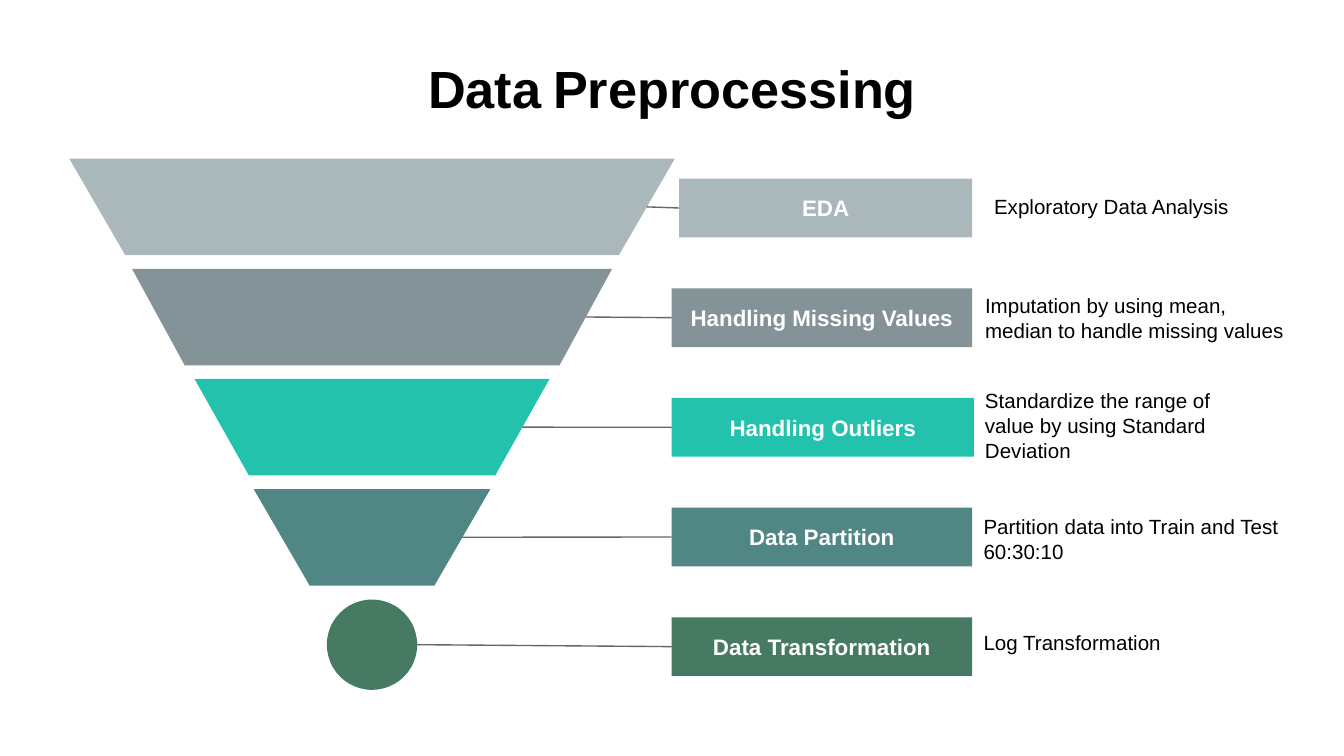
from pptx import Presentation
from pptx.dml.color import RGBColor
from pptx.enum.shapes import MSO_CONNECTOR, MSO_SHAPE
from pptx.enum.text import MSO_ANCHOR, MSO_AUTO_SIZE, PP_ALIGN
from pptx.oxml.ns import qn
from pptx.util import Pt
from lxml.etree import SubElement

COLORS = {
    "eda": "AAB7BB", "missing": "849397", "outliers": "23C2AC",
    "partition": "508683", "transform": "467A63",
    "line": "666666", "dark": "000000", "light": "FFFFFF",
}
FONT = "Arial"
INSET = 7.2


class FunnelSlide:
    def __init__(self, slide):
        self.slide = slide

    def color(self, key):
        return RGBColor.from_string(COLORS[key])

    def prepare_frame(self, shape):
        frame = shape.text_frame
        frame.word_wrap = True
        frame.auto_size = MSO_AUTO_SIZE.NONE
        frame.vertical_anchor = MSO_ANCHOR.MIDDLE
        frame.margin_left = frame.margin_right = Pt(INSET)
        frame.margin_top = frame.margin_bottom = Pt(INSET)
        return frame.paragraphs[0]

    def style(self, paragraph, color, align, size=None, bold=False):
        paragraph.alignment = align
        font = paragraph.font
        font.name, font.bold = FONT, bold
        font.color.rgb = self.color(color)
        if size:
            font.size = Pt(size)

    def title(self, runs, left, top, width, height):
        shape = self.slide.shapes.title
        shape.left, shape.top = Pt(left), Pt(top)
        shape.width, shape.height = Pt(width), Pt(height)
        paragraph = self.prepare_frame(shape)
        self.style(paragraph, "dark", PP_ALIGN.CENTER, bold=True)
        for text, size in runs:
            run = paragraph.add_run()
            run.text = text
            run.font.size = Pt(size)

    def block(self, kind, color, left, top, width, height):
        shape = self.slide.shapes.add_shape(
            kind, Pt(left), Pt(top), Pt(width), Pt(height))
        shape.shadow.inherit = False
        shape.fill.solid()
        shape.fill.fore_color.rgb = self.color(color)
        shape.line.fill.background()
        return shape

    def band(self, color, left, top, width, height, slant):
        shape = self.block(MSO_SHAPE.TRAPEZOID, color, left, top, width, height)
        shape.adjustments[0] = slant
        shape.rotation = 180

    def label(self, text, color, left, top, width, height):
        shape = self.block(MSO_SHAPE.RECTANGLE, color, left, top, width, height)
        paragraph = self.prepare_frame(shape)
        paragraph.text = text
        self.style(paragraph, "light", PP_ALIGN.CENTER, 12, bold=True)

    def note(self, text, left, top, width, height, align):
        box = self.slide.shapes.add_textbox(
            Pt(left), Pt(top), Pt(width), Pt(height))
        paragraph = self.prepare_frame(box)
        paragraph.text = text
        self.style(paragraph, "dark", align, 11)

    def connector(self, x1, y1, x2, y2):
        line = self.slide.shapes.add_connector(
            MSO_CONNECTOR.STRAIGHT, Pt(x1), Pt(y1), Pt(x2), Pt(y2))
        line.line.color.rgb = self.color("line")
        line.line.width = Pt(0.75)
        SubElement(line._element.spPr, qn("a:effectLst"))


# Funnel geometry
CENTER_X = 199.3
BAND_TOP, BAND_STEP, BAND_HEIGHT = 85, 59, 51.7
CIRCLE_TOP, CIRCLE_SIZE = 321.2, 48.4
LABEL_TOP, LABEL_STEP, LABEL_HEIGHT = 95.7, 58.75, 31.5

# Colour and label, label left and width
LABELS = [
    ("eda", "EDA", 363.8, 157),
    ("missing", "Handling Missing Values", 359.8, 161),
    ("outliers", "Handling Outliers", 359.8, 162),
    ("partition", "Data Partition", 359.8, 161),
    ("transform", "Data Transformation", 359.8, 161),
]
# Text, left, top, width and alignment
NOTES = [
    ("Exploratory Data Analysis", 511.2, 95, 168.5, PP_ALIGN.CENTER),
    ("Imputation by using mean, median to handle missing values",
     520.6, 154.4, 178, PP_ALIGN.LEFT),
    ("Standardize the range of value by using Standard Deviation",
     520.6, 212, 160, PP_ALIGN.LEFT),
    ("Partition data into Train and Test 60:30:10",
     519.8, 273, 178, PP_ALIGN.LEFT),
    ("Log Transformation", 519.8, 328.6, 178, PP_ALIGN.LEFT),
]
# Width and slant of each band
BANDS = [(324.4, 0.58), (257.2, 0.545), (190.2, 0.563), (126.8, 0.58)]


def main():
    deck = Presentation()
    deck.slide_width, deck.slide_height = Pt(720), Pt(405)
    page = FunnelSlide(deck.slides.add_slide(deck.slide_layouts[5]))
    page.title([("Data", 28), (" ", 23), ("Preprocessing", 28)],
               36, 32.4, 648, 29.5)

    # Funnel, keeping the point where each connector starts
    starts = []
    for i, (width, slant) in enumerate(BANDS):
        top = BAND_TOP + i * BAND_STEP
        page.band(LABELS[i][0], CENTER_X - width / 2, top, width,
                  BAND_HEIGHT, slant)
        starts.append((CENTER_X + width / 2 - slant * BAND_HEIGHT / 2,
                       top + BAND_HEIGHT / 2))
    page.block(MSO_SHAPE.OVAL, "transform", CENTER_X - CIRCLE_SIZE / 2,
               CIRCLE_TOP, CIRCLE_SIZE, CIRCLE_SIZE)
    starts.append((CENTER_X + CIRCLE_SIZE / 2, CIRCLE_TOP + CIRCLE_SIZE / 2))

    # Labels with their connectors
    for i, (color, text, left, width) in enumerate(LABELS):
        top = LABEL_TOP + i * LABEL_STEP
        page.label(text, color, left, top, width, LABEL_HEIGHT)
        page.connector(*starts[i], left, top + LABEL_HEIGHT / 2)

    # Explanations
    for text, left, top, width, align in NOTES:
        page.note(text, left, top, width, LABEL_HEIGHT, align)

    deck.save("out.pptx")


if __name__ == "__main__":
    main()
